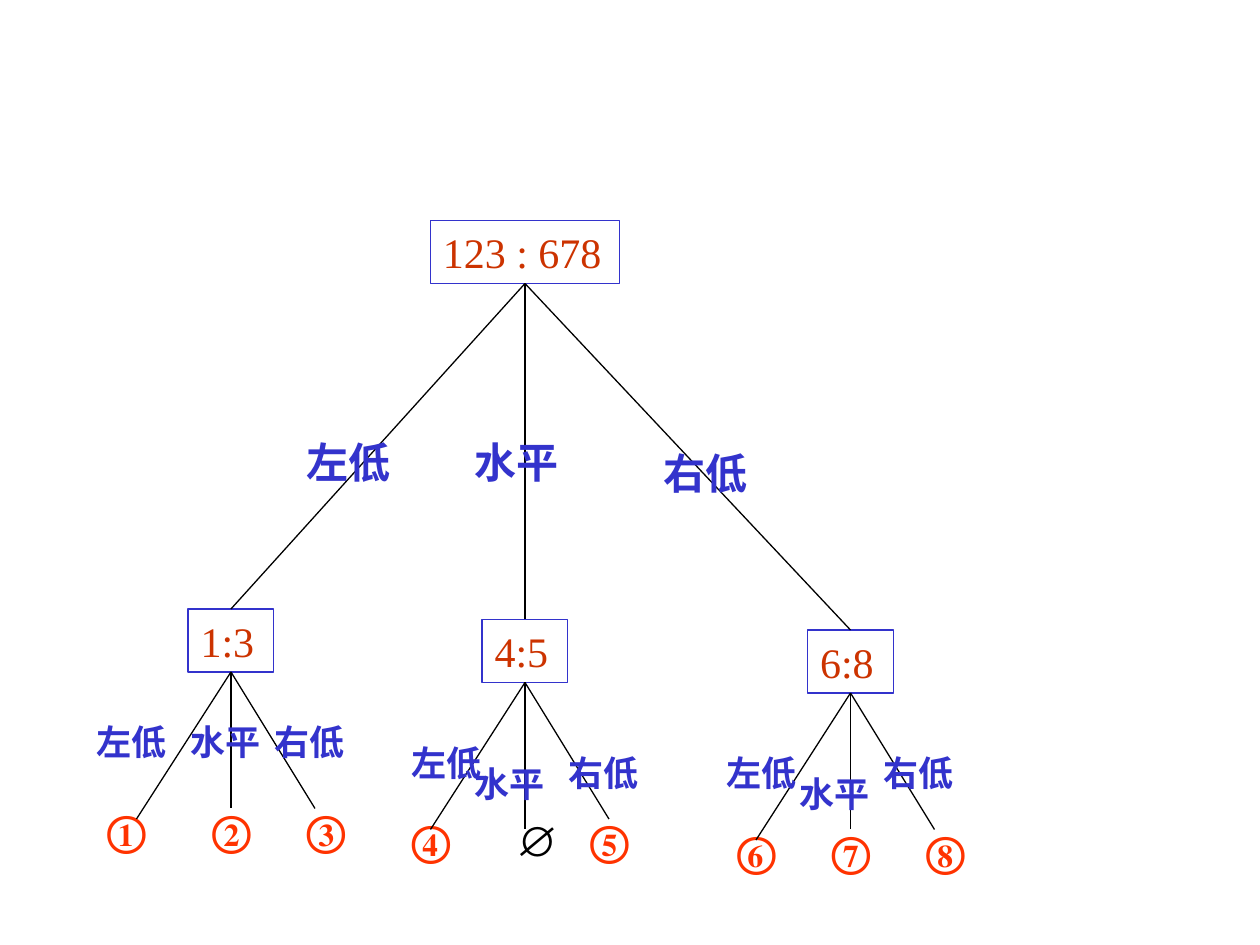
"""Build a decision tree slide for finding an odd ball with a balance."""
from lxml import etree
from pptx import Presentation
from pptx import util as u
from pptx.dml.color import RGBColor
from pptx.enum import shapes, text
from pptx.oxml.ns import qn

BLACK = RGBColor(0x00, 0x00, 0x00)
BLUE = RGBColor(0x33, 0x33, 0xCC)
RUST = RGBColor(0xCC, 0x33, 0x00)
RED = RGBColor(0xFF, 0x33, 0x00)

BOX_H = 36
OUTCOMES = ("左低", "水平", "右低")
LABEL_WIDTHS = (60, 66, 60)
ROOT_LABELS = ((168, 246), (264, 246), (372, 252))

# text, centre, top, branch end offsets, label positions, leaves (text, left, width)
SUBTREES = (
    ("1:3", 132, 348, ((-54, 84), (0, 78), (48, 78)),
     ((48, 408), (102, 408), (150, 408)),
     (("①", 54, 36), ("②", 114, 42), ("③", 168, 42))),
    ("4:5", 300, 354, ((-54, 84), (0, 84), (48, 78)),
     ((228, 420), (264, 432), (318, 426)),
     (("④", 228, 36), ("∅", 288, 30), ("⑤", 330, 42))),
    ("6:8", 486, 360, ((-54, 84), (0, 78), (48, 78)),
     ((408, 426), (450, 438), (498, 426)),
     (("⑥", 414, 36), ("⑦", 468, 36), ("⑧", 522, 36))),
)


def write(tf, s, *, size=24, color=BLUE, bold=False, font="Times New Roman"):
    tf.word_wrap = True
    tf.auto_size = text.MSO_AUTO_SIZE.SHAPE_TO_FIT_TEXT
    tf.vertical_anchor = text.MSO_ANCHOR.TOP
    p = tf.paragraphs[0]
    p.alignment = text.PP_ALIGN.LEFT
    r = p.add_run()
    r.text = s
    r.font.size = u.Pt(size)
    r.font.bold = bold
    r.font.name = font
    r.font.color.rgb = color


class Tree:
    def __init__(self, slide, line_width=0.75):
        self.s = slide
        self.line_width = u.Pt(line_width)

    def node(self, label, center, top, width):
        sp = self.s.shapes.add_shape(
            shapes.MSO_SHAPE.RECTANGLE, u.Pt(center - width / 2), u.Pt(top),
            u.Pt(width), u.Pt(BOX_H))
        sp.shadow.inherit = False
        sp.fill.background()
        sp.line.color.rgb = BLUE
        sp.line.width = self.line_width
        write(sp.text_frame, label, color=RUST)
        return sp

    def label(self, s, left, top, width, height=36, **fmt):
        sp = self.s.shapes.add_textbox(
            u.Pt(left), u.Pt(top), u.Pt(width), u.Pt(height))
        write(sp.text_frame, s, bold=True, **fmt)

    def branch(self, parent, x=0, y=0, child=None):
        c = self.s.shapes.add_connector(
            shapes.MSO_CONNECTOR.STRAIGHT, 0, 0, u.Pt(x), u.Pt(y))
        c.begin_connect(parent, 2)
        if child is not None:
            c.end_connect(child, 0)
        c.line.color.rgb = BLACK
        c.line.width = self.line_width
        etree.SubElement(c._element.spPr, qn("a:effectLst"))

    def subtree(self, root, name, center, top, ends, labels, leaves):
        bottom = top + BOX_H
        for s, left, width in leaves:
            fmt = {"color": BLACK, "font": "Arial"} if s == "∅" else {"color": RED}
            self.label(s, left, bottom + 72, width, **fmt)
        sp = self.node(name, center, top, 49)
        self.branch(root, child=sp)
        for dx, dy in ends:
            self.branch(sp, center + dx, bottom + dy)
        self.outcomes(labels, LABEL_WIDTHS, height=32, size=20)

    def outcomes(self, places, widths, **fmt):
        for s, (left, top), width in zip(OUTCOMES, places, widths):
            self.label(s, left, top, width, **fmt)


def main():
    prs = Presentation()
    prs.slide_width, prs.slide_height = u.Pt(720), u.Pt(540)
    tree = Tree(prs.slides.add_slide(prs.slide_layouts[6]))
    root = tree.node("123 : 678", 300, 126, 108)
    for subtree in SUBTREES:
        tree.subtree(root, *subtree)
    tree.outcomes(ROOT_LABELS, (66, 66, 66))
    prs.save("out.pptx")


if __name__ == "__main__":
    main()
